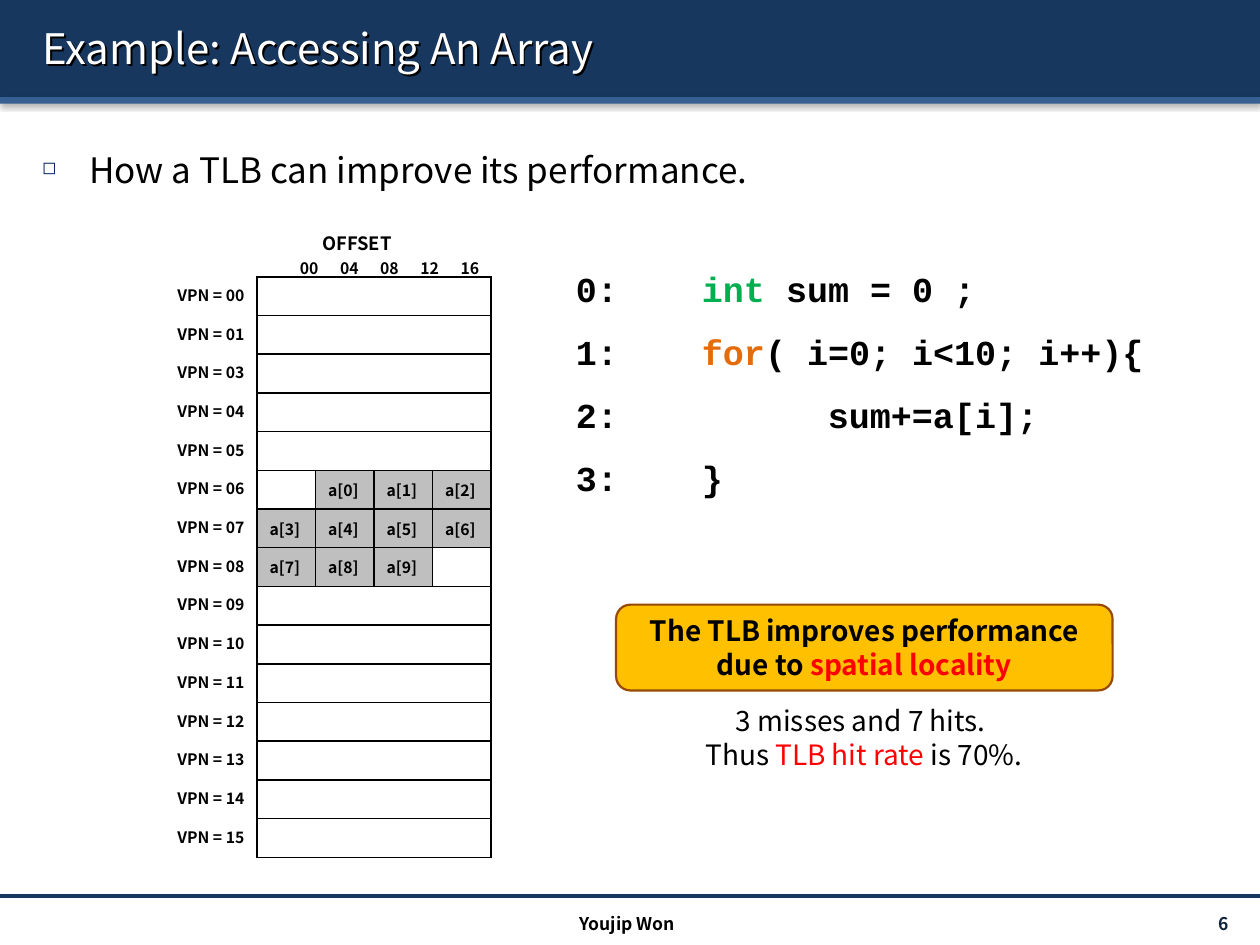
"""Build a slide showing how a TLB speeds up sequential array accesses."""
from pptx import Presentation, util as u
from pptx.dml.color import RGBColor
from pptx.enum import shapes, text
from pptx.oxml import parse_xml

NAMESPACE = 'xmlns:a="http://schemas.openxmlformats.org/drawingml/2006/main"'
SHADOW = (
    f'<a:effectLst {NAMESPACE}><a:outerShdw blurRad="{{}}" dist="20300" dir="{{}}">'
    '<a:srgbClr val="000000"><a:alpha val="{}"/></a:srgbClr></a:outerShdw></a:effectLst>'
)
SANS, MONO = "Noto Sans CJK KR", "Courier New"
BLACK, WHITE, NAVY, RED = "000000", "FFFFFF", "17375E", "FF0000"
LEFT, CENTER, RIGHT = text.PP_ALIGN.LEFT, text.PP_ALIGN.CENTER, text.PP_ALIGN.RIGHT
TOP, MIDDLE = text.MSO_ANCHOR.TOP, text.MSO_ANCHOR.MIDDLE
RECTANGLE = shapes.MSO_SHAPE.RECTANGLE
ROUNDED = shapes.MSO_SHAPE.ROUNDED_RECTANGLE


def color(value):
    return RGBColor.from_string(value)


def add_run(paragraph, words, size, shade=BLACK, bold=False, name=SANS):
    run = paragraph.add_run()
    run.text = words
    run.font.size = u.Pt(size)
    run.font.bold = bold
    run.font.name = name
    run.font.color.rgb = color(shade)


presentation = Presentation()
presentation.slide_width, presentation.slide_height = u.Cm(25.4), u.Cm(19.05)
slide = presentation.slides.add_slide(presentation.slide_layouts[6])

for top, height, fill in ((0, 1.96, NAVY), (1.96, 0.13, "376092")):
    band = slide.shapes.add_shape(RECTANGLE, 0, u.Cm(top), u.Cm(25.4), u.Cm(height))
    band.fill.solid()
    band.fill.fore_color.rgb = color(fill)
    band.line.fill.background()
    band._element.spPr.append(parse_xml(SHADOW.format(39400, 5400000, 38000)))

footer_line = slide.shapes.add_connector(
    shapes.MSO_CONNECTOR.STRAIGHT, 0, u.Cm(18.06), u.Cm(25.4), u.Cm(18.06))
footer_line.line.color.rgb = color(NAVY)
footer_line.line.width = u.Pt(2)
footer_line._element.spPr.append(parse_xml(f"<a:effectLst {NAMESPACE}/>"))

title = slide.shapes.add_textbox(u.Cm(0.6), u.Cm(0.15), u.Cm(24.41), u.Cm(1.63))
title.text_frame.word_wrap = True
title.text_frame.vertical_anchor = MIDDLE
title._element.spPr.append(parse_xml(SHADOW.format(0, 2700000, 100000)))
add_run(title.text_frame.paragraphs[0], "Example: Accessing An Array", 24, WHITE)

body = slide.shapes.add_textbox(u.Cm(0.6), u.Cm(2.44), u.Cm(24.41), u.Cm(15.29))
body.text_frame.word_wrap = True
paragraph = body.text_frame.paragraphs[0]
paragraph.line_spacing = 1.5
properties = paragraph._p.get_or_add_pPr()
properties.set("marL", str(u.Cm(0.95)))
properties.set("indent", str(u.Cm(-0.95)))
for bullet in ('<a:buClr {}><a:srgbClr val="002060"/></a:buClr>',
               '<a:buSzPct {} val="50000"/>', '<a:buChar {} char="◻"/>'):
    properties.append(parse_xml(bullet.format(NAMESPACE)))
add_run(paragraph, "How a TLB can improve its performance.", 20)

pages = ["00", "01", "03", "04", "05", "06", "07", "08",
         "09", "10", "11", "12", "13", "14", "15"]
array_rows = {
    "06": ["", "a[0]", "a[1]", "a[2]"],
    "07": ["a[3]", "a[4]", "a[5]", "a[6]"],
    "08": ["a[7]", "a[8]", "a[9]", ""],
}
frame = slide.shapes.add_table(
    len(pages) + 1, 5, u.Cm(3.1), u.Cm(4.5), u.Cm(6.8), u.Cm(12.74))
table = frame.table
table.first_row = table.horz_banding = False
table._tbl.tblPr[0].text = "{2D5ABB26-0587-4C30-8999-92F81FD0307C}"
for index, column in enumerate(table.columns):
    column.width = u.Cm(1.18 if index else 2.08)
for index, row in enumerate(table.rows):
    row.height = u.Cm(0.78 if index else 1.04)

header = table.cell(0, 0)
header.merge(table.cell(0, 4))
header.fill.background()
header.margin_right = 0
paragraph = header.text_frame.paragraphs[0]
paragraph.alignment = CENTER
paragraph._p.get_or_add_pPr().set("marL", str(u.Cm(1.14)))
add_run(paragraph, "OFFSET", 10.5, bold=True)
paragraph = header.text_frame.add_paragraph()
stops = "".join(f'<a:tab pos="{u.Cm(2.69 + 0.81 * index)}" algn="l"/>' for index in range(5))
paragraph._p.get_or_add_pPr().append(parse_xml(f"<a:tabLst {NAMESPACE}>{stops}</a:tabLst>"))
add_run(paragraph, "\t00\t04\t08\t12\t16", 9, bold=True)

for row, page in enumerate(pages, 1):
    entries = array_rows.get(page, [""] * 4)
    if page not in array_rows:
        table.cell(row, 1).merge(table.cell(row, 4))
    for column, words in enumerate([f"VPN = {page}"] + entries):
        cell = table.cell(row, column)
        sides = {"L": BLACK, "R": BLACK, "T": BLACK, "B": BLACK}
        if column == 0:
            sides.update(L=WHITE, T=WHITE, B=WHITE)
            if row == 1:
                del sides["T"]
        for side, shade in sides.items():
            cell._tc.get_or_add_tcPr().append(parse_xml(
                f'<a:ln{side} {NAMESPACE} w="12700"><a:solidFill>'
                f'<a:srgbClr val="{shade}"/></a:solidFill></a:ln{side}>'))
        paragraph = cell.text_frame.paragraphs[0]
        if words:
            add_run(paragraph, words, 9, bold=True)
        else:
            paragraph._p.append(parse_xml(f'<a:endParaRPr {NAMESPACE} sz="900"/>'))
        if column and words:
            cell.vertical_anchor = MIDDLE
            cell.fill.solid()
            cell.fill.fore_color.rgb = color("BFBFBF")
        else:
            cell.fill.background()
        if column == 0:
            paragraph.alignment = RIGHT

for words, box, alignment, anchor, shade in (
    ("6", (22.05, 18.31, 2.97, 0.61), RIGHT, MIDDLE, "0F243E"),
    ("Youjip Won", (8.43, 18.29, 8.43, 0.61), CENTER, TOP, BLACK),
):
    footer = slide.shapes.add_textbox(*map(u.Cm, box))
    footer.text_frame.word_wrap = True
    footer.text_frame.vertical_anchor = anchor
    footer.text_frame.paragraphs[0].alignment = alignment
    add_run(footer.text_frame.paragraphs[0], words, 10, shade, True)

code = [
    [("0:\t", BLACK), ("int ", "00B050"), ("sum = 0 ;", BLACK)],
    [("1:\t", BLACK), ("for", "E46C0A"), ("( i=0; i<10; i++){", BLACK)],
    [("2:\t\tsum+=a[i];", BLACK)],
    [("3:\t}", BLACK)],
]
hit_rate = [
    [("3 misses and 7 hits. ", BLACK)],
    [("Thus ", BLACK), ("TLB hit rate ", RED), ("is 70%.", BLACK)],
]
conclusion = [
    [("The TLB improves performance", BLACK)],
    [("due to ", BLACK), ("spatial locality", RED)],
]
code_stops = "".join(f'<a:tab pos="{u.Cm(2.54 * index)}" algn="l"/>' for index in (1, 2))
for kind, box, fill, outline, insets, alignment, spacing, size, bold, name, lines in (
    (RECTANGLE, (10.9, 4.83, 13.41, 5.38), WHITE, None, (0.71, 0.25), LEFT, 1.5, 20, True, MONO, code),
    (ROUNDED, (13.72, 14, 7.39, 1.73), None, None, (0.3, 0.3), CENTER, 1.0, 16, False, SANS, hit_rate),
    (ROUNDED, (12.42, 12.19, 10.01, 1.73), "FFC000", "984807", (0.3, 0.3), CENTER, 1.0, 16, True, SANS,
     conclusion),
):
    shape = slide.shapes.add_shape(kind, *map(u.Cm, box))
    shape.shadow.inherit = False
    shape.fill.background()
    if fill:
        shape.fill.solid()
        shape.fill.fore_color.rgb = color(fill)
    shape.line.fill.background()
    if outline:
        shape.line.color.rgb = color(outline)
        shape.line.width = u.Pt(1.25)
    text_frame = shape.text_frame
    text_frame.word_wrap = True
    text_frame.vertical_anchor = MIDDLE
    text_frame.margin_left, text_frame.margin_right = map(u.Cm, insets)
    for index, line in enumerate(lines):
        paragraph = text_frame.add_paragraph() if index else text_frame.paragraphs[0]
        paragraph.alignment = alignment
        paragraph.line_spacing = spacing
        if name == MONO:
            paragraph._p.get_or_add_pPr().append(
                parse_xml(f"<a:tabLst {NAMESPACE}>{code_stops}</a:tabLst>"))
        for words, shade in line:
            add_run(paragraph, words, size, shade, bold, name)

presentation.save("out.pptx")
